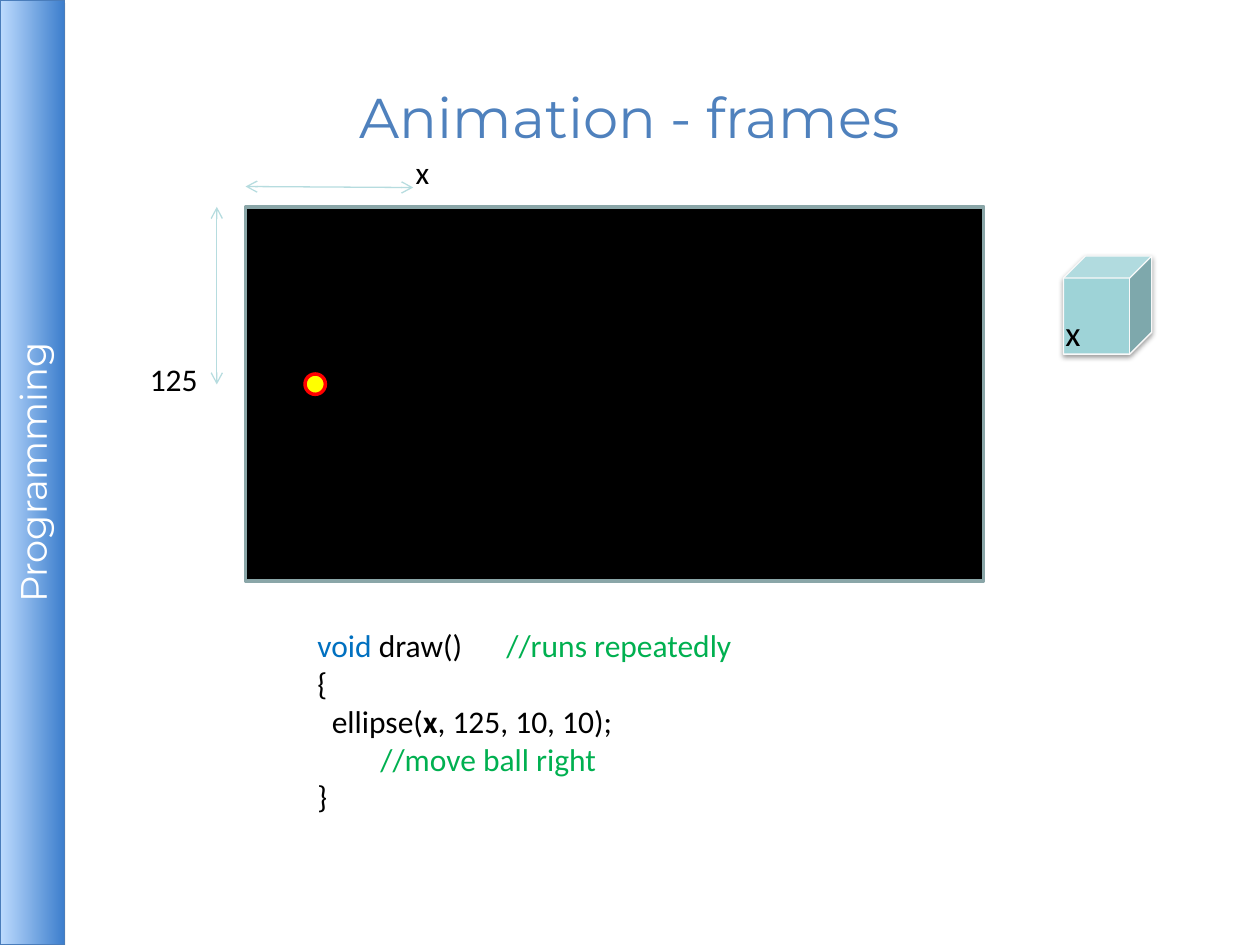
"""Build the slide "Animation - frames": a moving ball on a canvas and its draw() code."""
from dataclasses import dataclass

from lxml import etree
from pptx import Presentation
from pptx import util as u
from pptx.dml.color import RGBColor
from pptx.enum import shapes, text
from pptx.oxml import ns


@dataclass(frozen=True)
class Theme:
    heading: str = "Montserrat"
    body: str = "Calibri"
    title_size: int = 32
    side_size: int = 21
    variable_size: int = 20
    body_size: int = 18
    ink: str = "000000"
    white: str = "FFFFFF"
    title: str = "4F81BD"
    keyword: str = "0070C0"
    comment: str = "00B050"
    bar_light: str = "BDDBFE"
    bar_dark: str = "3E7FCD"
    bar_edge: str = "4A7DBB"
    canvas_edge: str = "8AA6A8"
    ball: str = "FFFF00"
    ball_edge: str = "FF0000"
    cube: str = "9ED3D7"
    cube_edge: str = "F9F9F9"
    arrow: str = "B6DCDF"


theme = Theme()
rgb = RGBColor.from_string


def write(paragraph, runs, face, size, colour):
    paragraph.font.name, paragraph.font.size = face, u.Pt(size)
    paragraph.font.color.rgb = rgb(colour)
    for words, run_colour, bold in runs:
        run = paragraph.add_run()
        run.text = words
        if run_colour:
            run.font.color.rgb = rgb(run_colour)
        if bold:
            run.font.bold = True


def add_figure(kind, box, fill, edge, width):
    figure = slide.shapes.add_shape(kind, *map(u.Cm, box))
    figure.shadow.inherit = False
    figure.fill.solid()
    figure.fill.fore_color.rgb = rgb(fill)
    figure.line.color.rgb = rgb(edge)
    figure.line.width = u.Pt(width)
    return figure


deck = Presentation()
deck.slide_width, deck.slide_height = u.Cm(25.4), u.Cm(19.05)
slide = deck.slides.add_slide(deck.slide_layouts[6])
preset = shapes.MSO_SHAPE

side_bar = add_figure(preset.RECTANGLE, (0, 0, 1.3, 19.05), theme.bar_light, theme.bar_edge, 0.75)
side_bar.fill.gradient()
side_bar.fill.gradient_angle = 0
for stop, place, colour in zip(side_bar.fill.gradient_stops, (0, 1), (theme.bar_light, theme.bar_dark)):
    stop.position = place
    stop.color.rgb = rgb(colour)
title = slide.shapes.add_textbox(*map(u.Cm, (1.27, 0.76, 22.86, 3.18)))

for heading, words, size, colour in (
    (side_bar, "Programming", theme.side_size, theme.white),
    (title, "Animation - frames", theme.title_size, theme.title),
):
    frame = heading.text_frame
    frame.word_wrap = True
    frame.vertical_anchor = text.MSO_ANCHOR.MIDDLE
    frame.margin_left = frame.margin_right = frame.margin_top = frame.margin_bottom = u.Cm(0.1)
    frame.paragraphs[0].alignment = text.PP_ALIGN.CENTER
    write(frame.paragraphs[0], [(words, None, False)], theme.heading, size, colour)
side_bar.text_frame._txBody.bodyPr.set("vert", "vert270")

add_figure(preset.RECTANGLE, (4.95, 4.17, 14.88, 7.54), theme.ink, theme.canvas_edge, 2)
add_figure(preset.OVAL, (6.15, 7.54, 0.41, 0.41), theme.ball, theme.ball_edge, 2)
cube = add_figure(preset.CUBE, (21.44, 5.16, 1.78, 1.98), theme.cube, theme.cube_edge, 0.75)

for raised, opacity, blur, distance in ((side_bar, 35, 0, 1.8), (cube, 38, 3.1, 1.6)):
    effects = raised._element.spPr.find(ns.qn("a:effectLst"))
    shadow = etree.SubElement(
        effects, ns.qn("a:outerShdw"), blurRad=str(u.Pt(blur)), dist=str(u.Pt(distance)),
        dir="5400000", rotWithShape="0")
    shade = etree.SubElement(shadow, ns.qn("a:srgbClr"), val=theme.ink)
    etree.SubElement(shade, ns.qn("a:alpha"), val=str(opacity * 1000))

for words, box, size in (
    ("x", (21.23, 6.15, 0.81, 1.12), theme.variable_size),
    ("125", (2.77, 7.14, 1.5, 1.02), theme.body_size),
    ("x", (8.13, 2.97, 0.79, 1.02), theme.body_size),
):
    label = slide.shapes.add_textbox(*map(u.Cm, box)).text_frame
    label.word_wrap = False
    label.auto_size = text.MSO_AUTO_SIZE.SHAPE_TO_FIT_TEXT
    write(label.paragraphs[0], [(words, None, False)], theme.body, size, theme.ink)

code = slide.shapes.add_textbox(*map(u.Cm, (6.15, 12.5, 12.7, 4.11))).text_frame
code.word_wrap = True
code.auto_size = text.MSO_AUTO_SIZE.SHAPE_TO_FIT_TEXT
code_lines = (
    (0, 3.49, [("void", theme.keyword, False), (" draw()\t", None, False),
               ("//runs repeatedly", theme.comment, False)]),
    (0, None, [("{", None, False)]),
    (0.29, None, [("ellipse(", None, False), ("x", None, True), (", 125, 10, 10);", None, False)]),
    (0, 2.54, [("\t//move ball right", theme.comment, False)]),
    (0, None, [("}", None, False)]),
)
for number, (indent, tab, runs) in enumerate(code_lines):
    line = code.add_paragraph() if number else code.paragraphs[0]
    write(line, runs, theme.body, theme.body_size, theme.ink)
    layout = line._p.get_or_add_pPr()
    layout.set("marL", str(u.Cm(indent)))
    layout.set("indent", "0")
    if tab:
        stops = etree.Element(ns.qn("a:tabLst"))
        etree.SubElement(stops, ns.qn("a:tab"), pos=str(u.Cm(tab)), algn="l")
        layout.find(ns.qn("a:defRPr")).addprevious(stops)

for ends in ((4.37, 4.17, 4.37, 7.75), (8.33, 3.78, 4.95, 3.76)):
    measure = slide.shapes.add_connector(shapes.MSO_CONNECTOR.STRAIGHT, *map(u.Cm, ends))
    measure.line.color.rgb = rgb(theme.arrow)
    measure.line.width = u.Pt(0.75)
    for tip in ("a:headEnd", "a:tailEnd"):
        etree.SubElement(measure.line._get_or_add_ln(), ns.qn(tip), type="arrow")
    etree.SubElement(measure._element.spPr, ns.qn("a:effectLst"))

deck.save("out.pptx")
